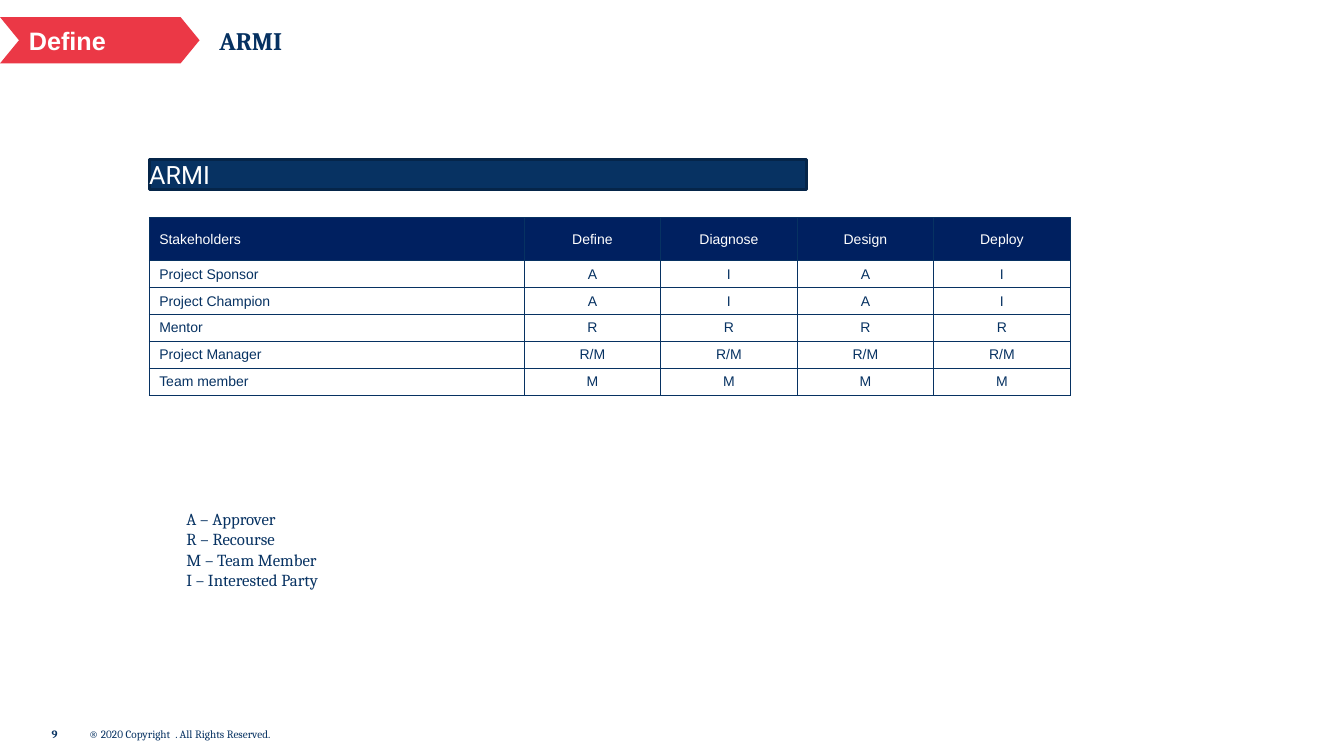
from lxml import etree
from pptx import Presentation
from pptx.dml.color import RGBColor
from pptx.enum.shapes import MSO_SHAPE
from pptx.enum.text import MSO_ANCHOR, PP_ALIGN
from pptx.oxml.ns import qn
from pptx.util import Cm, Pt

RECTANGLE, CHEVRON = MSO_SHAPE.RECTANGLE, MSO_SHAPE.CHEVRON
TOP, MIDDLE = MSO_ANCHOR.TOP, MSO_ANCHOR.MIDDLE
LEFT, CENTER = PP_ALIGN.LEFT, PP_ALIGN.CENTER

WHITE = RGBColor(0xFF, 0xFF, 0xFF)
NAVY = RGBColor(0x07, 0x32, 0x62)
TITLE_NAVY = RGBColor(0x06, 0x31, 0x61)
BAR_EDGE = RGBColor(0x05, 0x25, 0x49)
HEADER_BLUE = RGBColor(0x00, 0x20, 0x60)
RED = RGBColor(0xEB, 0x38, 0x46)

STAKEHOLDERS = [
    ("Stakeholders", "Define", "Diagnose", "Design", "Deploy"),
    ("Project Sponsor", "A", "I", "A", "I"),
    ("Project Champion", "A", "I", "A", "I"),
    ("Mentor", "R", "R", "R", "R"),
    ("Project Manager", "R/M", "R/M", "R/M", "R/M"),
    ("Team member", "M", "M", "M", "M"),
]
LEGEND = "A – Approver\nR – Recourse\nM – Team Member\nI – Interested Party"


def write_text(frame, text, *, size, font="Cambria", color=NAVY, bold=False,
               align=LEFT):
    """Fill a text frame, one paragraph for each line of text."""
    frame.text = text
    for paragraph in frame.paragraphs:
        paragraph.alignment = align
        for run in paragraph.runs:
            run.font.name = font
            run.font.size = Pt(size)
            run.font.bold = bold
            run.font.color.rgb = color


def add_borders(cell, color, width):
    """Draw all four edges of a table cell."""
    properties = cell._tc.get_or_add_tcPr()
    for index, edge in enumerate(("a:lnL", "a:lnR", "a:lnT", "a:lnB")):
        line = etree.Element(qn(edge), w=str(Pt(width)))
        fill = etree.SubElement(line, qn("a:solidFill"))
        etree.SubElement(fill, qn("a:srgbClr"), val=str(color))
        properties.insert(index, line)


class SlideBuilder:
    def __init__(self, slide):
        self.slide = slide
        self.border_color = NAVY
        self.border_width = 0.75

    def prepare_frame(self, shape, anchor, inset):
        frame = shape.text_frame
        frame.word_wrap = True
        frame.vertical_anchor = anchor
        if not inset:
            frame.margin_left = frame.margin_right = 0
            frame.margin_top = frame.margin_bottom = 0
        return frame

    def text(self, text, left, top, width, height, *, anchor=MIDDLE,
             inset=True, **style):
        box = self.slide.shapes.add_textbox(
            Cm(left), Cm(top), Cm(width), Cm(height))
        write_text(self.prepare_frame(box, anchor, inset), text, **style)

    def shape(self, kind, text, left, top, width, height, *, fill, line=None,
              anchor=MIDDLE, inset=True, **style):
        shape = self.slide.shapes.add_shape(
            kind, Cm(left), Cm(top), Cm(width), Cm(height))
        shape.shadow.inherit = False
        shape.fill.solid()
        shape.fill.fore_color.rgb = fill
        if line is None:
            shape.line.fill.background()
        else:
            shape.line.color.rgb = line
            shape.line.width = Pt(2)
        write_text(self.prepare_frame(shape, anchor, inset), text,
                   color=WHITE, **style)
        return shape

    def table(self, rows, left, top, widths, heights):
        table = self.slide.shapes.add_table(
            len(rows), len(widths), Cm(left), Cm(top),
            Cm(sum(widths)), Cm(sum(heights))).table
        table.horz_banding = False
        for column, width in zip(table.columns, widths):
            column.width = Cm(width)
        for row, height in zip(table.rows, heights):
            row.height = Cm(height)
        for row_index, values in enumerate(rows):
            is_header = row_index == 0
            for column_index, value in enumerate(values):
                cell = table.cell(row_index, column_index)
                cell.vertical_anchor = MIDDLE
                if is_header:
                    cell.fill.solid()
                    cell.fill.fore_color.rgb = HEADER_BLUE
                else:
                    cell.fill.background()
                write_text(cell.text_frame, value, size=10, font="Arial",
                           color=WHITE if is_header else NAVY,
                           align=CENTER if column_index else LEFT)
                add_borders(cell, self.border_color, self.border_width)


def main():
    presentation = Presentation()
    presentation.slide_width = Cm(33.87)
    presentation.slide_height = Cm(19.05)
    builder = SlideBuilder(
        presentation.slides.add_slide(presentation.slide_layouts[6]))

    # Footer
    builder.text("9", 1.3, 18.19, 0.9, 0.61, inset=False, size=8, bold=True)
    builder.text("® 2020 Copyright  . All Rights Reserved.",
                 2.24, 18.19, 6.55, 0.61, inset=False, size=8)

    # Title and phase marker
    builder.text("ARMI", 5.28, 0.28, 20.1, 1.47, size=18, bold=True,
                 color=TITLE_NAVY)
    phase = builder.shape(CHEVRON, "Define", 0, 0.43, 5.03, 1.17, fill=RED,
                          size=18, font="Arial", bold=True)
    phase.adjustments[0] = 0.41

    # Section bar
    builder.shape(RECTANGLE, "ARMI", 3.76, 4.01, 16.56, 0.77, fill=NAVY,
                  line=BAR_EDGE, anchor=TOP, inset=False, size=18,
                  font="Roboto")

    # Stakeholder table and its legend
    builder.table(STAKEHOLDERS, 3.76, 5.49, [9.45] + [3.44] * 4,
                  [1.08] + [0.68] * 5)
    builder.text(LEGEND, 4.45, 12.7, 4.19, 2.31, anchor=TOP, size=12)

    presentation.save("out.pptx")


if __name__ == "__main__":
    main()
